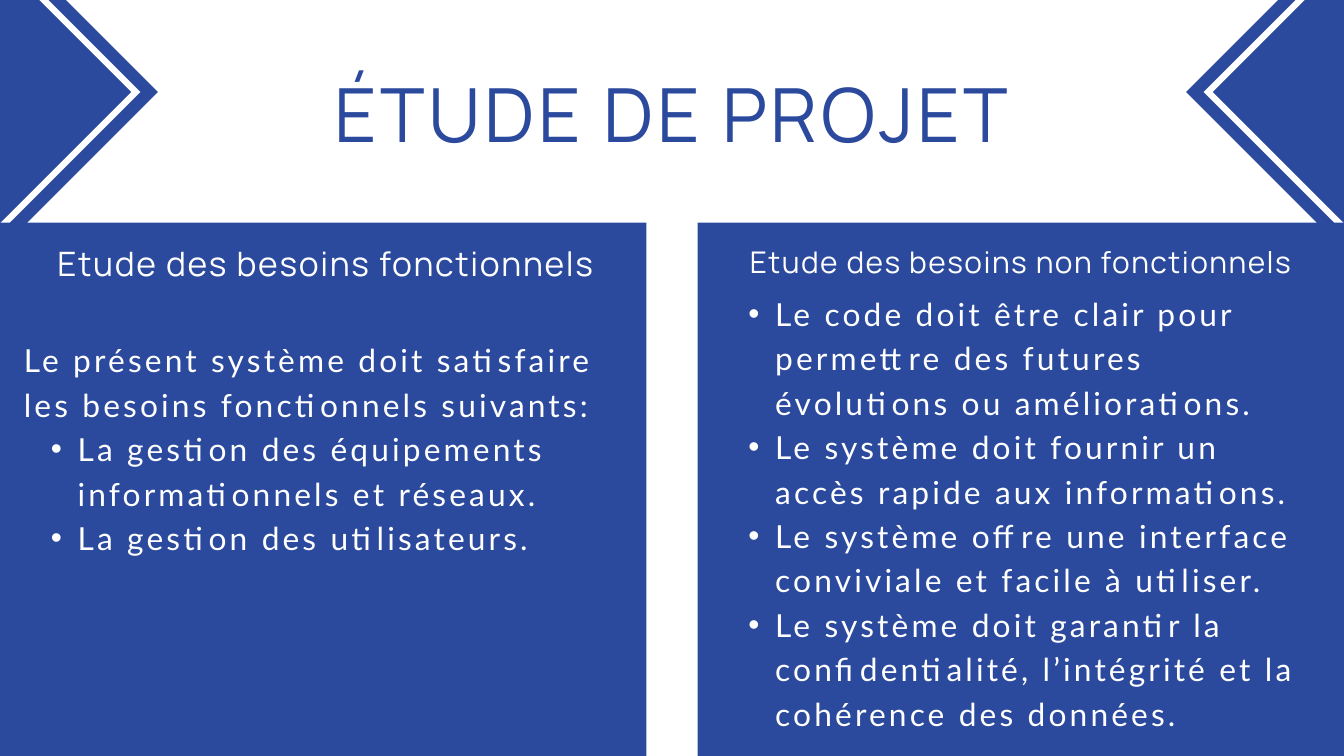
from dataclasses import dataclass

from lxml import etree
from pptx import Presentation
from pptx.dml.color import RGBColor
from pptx.enum.shapes import MSO_SHAPE
from pptx.enum.text import MSO_ANCHOR, MSO_AUTO_SIZE, PP_ALIGN
from pptx.oxml.ns import qn
from pptx.util import Pt

CENTER, LEFT = PP_ALIGN.CENTER, PP_ALIGN.LEFT
DIAMOND, RECTANGLE = MSO_SHAPE.DIAMOND, MSO_SHAPE.RECTANGLE
TITLE_ONLY = 5
SLIDE_WIDTH, SLIDE_HEIGHT = 1440, 810


@dataclass(frozen=True)
class TextStyle:
    font: str
    size: float
    line: float
    tracking: float
    color: RGBColor
    align: PP_ALIGN


class Theme:
    blue = RGBColor(0x2B, 0x4A, 0x9D)
    white = RGBColor(0xFF, 0xFF, 0xFF)
    title = TextStyle("Manrope", 80, 84, 4, blue, CENTER)
    heading = TextStyle("Manrope", 36, 37.8, 1.8, white, CENTER)
    small_heading = TextStyle("Manrope", 32, 33.6, 1.6, white, CENTER)
    body = TextStyle("Lato", 34, 47.6, 3.4, white, LEFT)
    bullet_margin, bullet_hang = 57.6, 28.8


FUNCTIONAL = {
    "heading": "Etude des besoins fonctionnels",
    "heading_style": Theme.heading,
    "heading_width": 646.6,
    "intro": ["Le présent système doit satisfaire les besoins fonctionnels suivants:"],
    "bullets": [
        "La gestion des équipements informationnels et réseaux.",
        "La gestion des utilisateurs.",
    ],
    "body_top": 120.2,
    "body_width": 627.8,
}
NON_FUNCTIONAL = {
    "heading": "Etude des besoins non fonctionnels",
    "heading_style": Theme.small_heading,
    "heading_width": 641.5,
    "intro": [],
    "bullets": [
        "Le code doit être clair pour permettre des futures évolutions ou améliorations.",
        "Le système doit fournir un accès rapide aux informations.",
        "Le système offre une interface conviviale et facile à utiliser.",
        "Le système doit garantir la confidentialité, l’intégrité et la cohérence des données.",
    ],
    "body_top": 70.6,
    "body_width": 641.5,
}


def set_attributes(target, values):
    for name, value in values.items():
        setattr(target, name, value)


def paint(shape, color):
    shape.shadow.inherit = False
    shape.fill.solid()
    shape.fill.fore_color.rgb = color
    shape.line.fill.background()


def add_bullet(paragraph):
    properties = paragraph._p.get_or_add_pPr()
    properties.set("marL", str(Pt(Theme.bullet_margin)))
    properties.set("indent", str(-Pt(Theme.bullet_hang)))
    etree.SubElement(properties, qn("a:buFont")).set("typeface", "Arial")
    etree.SubElement(properties, qn("a:buChar")).set("char", "•")


def write_text(shape, plain, bullets, style):
    """Fill a shape with plain paragraphs, then bulleted ones."""
    frame = shape.text_frame
    set_attributes(frame, {
        "word_wrap": True, "auto_size": MSO_AUTO_SIZE.NONE,
        "vertical_anchor": MSO_ANCHOR.TOP, "margin_left": 0,
        "margin_top": 0, "margin_right": 0, "margin_bottom": 0,
    })
    for index, text in enumerate(plain + bullets):
        paragraph = frame.add_paragraph() if index else frame.paragraphs[0]
        if index >= len(plain):
            add_bullet(paragraph)
        set_attributes(paragraph, {
            "alignment": style.align, "line_spacing": Pt(style.line),
            "space_before": Pt(0), "space_after": Pt(0),
        })
        run = paragraph.add_run()
        run.text = text
        set_attributes(run.font, {"name": style.font, "size": Pt(style.size)})
        run.font.color.rgb = style.color
        run._r.get_or_add_rPr().set("spc", str(round(style.tracking * 100)))


def add_title(slide, left, top, width, height):
    title = slide.shapes.title
    set_attributes(title, {"left": Pt(left), "top": Pt(top),
                           "width": Pt(width), "height": Pt(height)})
    write_text(title, ["ÉTUDE DE PROJET"], [], Theme.title)


def add_corner(slide, center_x, center_y, radius):
    """Blue diamond with a thin white diamond ring inside it."""
    diamond = slide.shapes.add_shape(
        DIAMOND, Pt(center_x - radius), Pt(center_y - radius),
        Pt(2 * radius), Pt(2 * radius))
    paint(diamond, Theme.blue)

    def corners(reach, turn):
        steps = [(-turn, 0), (0, 1), (turn, 0), (0, -1)]
        return [(Pt(center_x + x * reach), Pt(center_y + y * reach))
                for x, y in steps]

    outer = corners(radius - 18.7, 1)
    inner = corners(radius - 28.4, -1)
    builder = slide.shapes.build_freeform(*outer[0])
    builder.add_line_segments(outer[1:], close=True)
    builder.move_to(*inner[0])
    builder.add_line_segments(inner[1:], close=True)
    paint(builder.convert_to_shape(), Theme.white)


def add_panel(slide, left, top, width, height, content):
    panel = slide.shapes.add_shape(
        RECTANGLE, Pt(left), Pt(top), Pt(width), Pt(height))
    paint(panel, Theme.blue)
    text_left = left + 25.6
    style = content["heading_style"]
    heading = slide.shapes.add_textbox(
        Pt(text_left), Pt(top + 27.3), Pt(content["heading_width"]), Pt(style.line))
    write_text(heading, [content["heading"]], [], style)
    body_top = content["body_top"]
    body = slide.shapes.add_textbox(
        Pt(text_left), Pt(top + body_top), Pt(content["body_width"]),
        Pt(height - body_top - 30))
    write_text(body, content["intro"], content["bullets"], Theme.body)


def main():
    presentation = Presentation()
    set_attributes(presentation, {"slide_width": Pt(SLIDE_WIDTH),
                                  "slide_height": Pt(SLIDE_HEIGHT)})
    slide = presentation.slides.add_slide(presentation.slide_layouts[TITLE_ONLY])
    add_title(slide, 116.6, 85, SLIDE_WIDTH - 2 * 116.6, 93.6)
    for center_x in (-2.9, SLIDE_WIDTH + 2.9):
        add_corner(slide, center_x, 98.6, 172.1)
    panel_top, panel_width = 238.4, 692.6
    for left, content in ((0, FUNCTIONAL),
                          (SLIDE_WIDTH - panel_width, NON_FUNCTIONAL)):
        add_panel(slide, left, panel_top, panel_width,
                  SLIDE_HEIGHT - panel_top, content)
    presentation.save("out.pptx")


if __name__ == "__main__":
    main()
